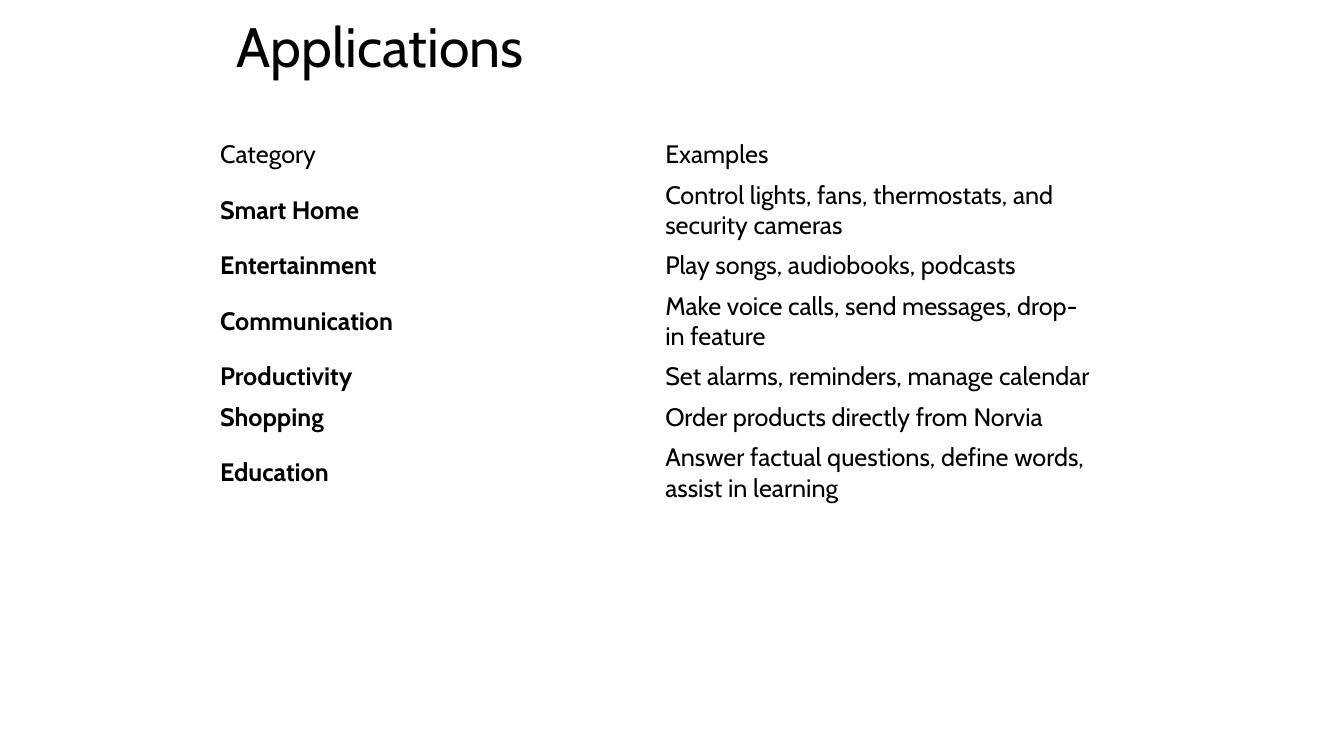
"""Build the Applications slide with its table of categories and examples."""
from pptx import Presentation
from pptx.dml.color import RGBColor
from pptx.enum.text import MSO_ANCHOR
from pptx.util import Pt

MIDDLE = MSO_ANCHOR.MIDDLE
INK = "000000"
FACE = "Cabin"
ROWS = [
    ("Category", "Examples", 28.8),
    ("Smart Home", "Control lights, fans, thermostats, and security cameras", 50.4),
    ("Entertainment", "Play songs, audiobooks, podcasts", 28.8),
    ("Communication", "Make voice calls, send messages, drop-in feature", 50.4),
    ("Productivity", "Set alarms, reminders, manage calendar", 28.8),
    ("Shopping", "Order products directly from Norvia", 28.8),
    ("Education", "Answer factual questions, define words, assist in learning", 50.4),
]


def color(code):
    return RGBColor.from_string(code)


def write(frame, text, size, bold=False):
    frame.word_wrap = True
    run = frame.paragraphs[0].add_run()
    run.text = text
    style = {"name": FACE, "size": Pt(size), "bold": bold}
    for key, value in style.items():
        setattr(run.font, key, value)
    run.font.color.rgb = color(INK)


deck = Presentation()
deck.slide_width, deck.slide_height = Pt(960), Pt(540)
slide = deck.slides.add_slide(deck.slide_layouts[6])
slide.background.fill.solid()
slide.background.fill.fore_color.rgb = color("FFFFFF")

title = slide.shapes.add_textbox(Pt(162), Pt(11.5), Pt(636), Pt(48)).text_frame
title.vertical_anchor = MIDDLE
write(title, "Applications", 39.6)
title.paragraphs[0].line_spacing = 0.9

high = sum(row[2] for row in ROWS)
table = slide.shapes.add_table(len(ROWS), 2, Pt(150), Pt(96), Pt(636), Pt(high)).table
flags = {"first_row": False, "horz_banding": False}
for key, value in flags.items():
    setattr(table, key, value)

for r, (group, uses, height) in enumerate(ROWS):
    table.rows[r].height = Pt(height)
    for c, text in enumerate((group, uses)):
        cell = table.cell(r, c)
        cell.fill.background()
        cell.vertical_anchor = MIDDLE
        write(cell.text_frame, text, 18, bold=r > 0 and c == 0)

deck.save("out.pptx")
